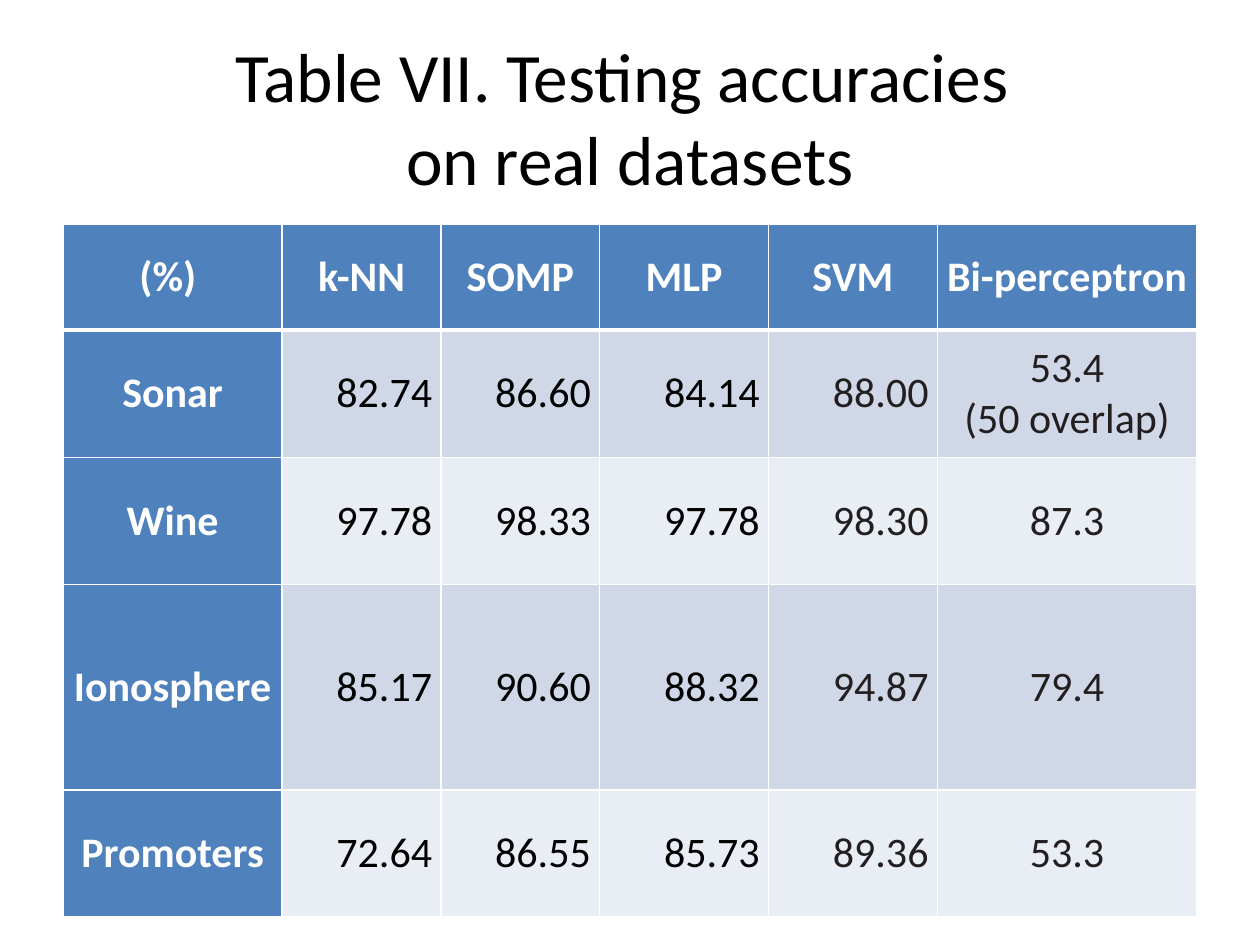
import dataclasses

import pptx
import pptx.dml.color
import pptx.enum.text
import pptx.oxml
import pptx.oxml.ns
import pptx.util

ALIGN = pptx.enum.text.PP_ALIGN
MIDDLE = pptx.enum.text.MSO_ANCHOR.MIDDLE


@dataclasses.dataclass(frozen=True)
class Theme:
    font: str = "Calibri"
    title_size: float = 39.6
    table_size: float = 24
    black: str = "000000"
    ink: str = "231F20"
    white: str = "FFFFFF"
    accent: str = "4F81BD"
    bands: tuple = ("D0D8E8", "E9EDF4")
    thin_line: float = 1
    header_line: float = 3


THEME = Theme()
SLIDE_WIDTH, SLIDE_HEIGHT = pptx.util.Inches(10), pptx.util.Inches(7.5)

TITLE = "Table VII. Testing accuracies \von real datasets"
ACCURACIES = [
    ["(%) ", "k-NN", "SOMP", "MLP", "SVM", "Bi-perceptron"],
    ["Sonar", "82.74", "86.60", "84.14", "88.00", "53.4\n(50 overlap)"],
    ["Wine", "97.78", "98.33", "97.78", "98.30", "87.3"],
    ["Ionosphere", "85.17", "90.60", "88.32", "94.87", "79.4"],
    ["Promoters", "72.64", "86.55", "85.73", "89.36", "53.3"],
]
COLUMN_WEIGHTS = [1.74, 1.26, 1.26, 1.34, 1.34, 2.06]
ROW_WEIGHTS = [0.84, 1.01, 1.01, 1.63, 1.01]


def share_box(left, top, width, height):
    """Turn shares of the slide's size into a box."""
    return (int(left * SLIDE_WIDTH), int(top * SLIDE_HEIGHT),
            int(width * SLIDE_WIDTH), int(height * SLIDE_HEIGHT))


def format_text(text_frame, size, color, align, bold=False):
    for paragraph in text_frame.paragraphs:
        paragraph.alignment = align
        for run in paragraph.runs:
            run.font.name = THEME.font
            run.font.size = pptx.util.Pt(size)
            run.font.bold = bold
            run.font.color.rgb = pptx.dml.color.RGBColor.from_string(color)


def add_title(slide, box):
    title = slide.shapes.title
    title.left, title.top, title.width, title.height = box
    text_frame = title.text_frame
    text_frame.text = TITLE
    text_frame.word_wrap = True
    text_frame.auto_size = pptx.enum.text.MSO_AUTO_SIZE.NONE
    text_frame.vertical_anchor = MIDDLE
    format_text(text_frame, THEME.title_size, THEME.black, ALIGN.CENTER)


def set_borders(cell, top, bottom):
    """Draw white cell borders; the XML order is left, right, top, bottom."""
    properties = cell._tc.get_or_add_tcPr()
    widths = {"L": THEME.thin_line, "R": THEME.thin_line, "T": top, "B": bottom}
    for side, width in widths.items():
        properties.append(pptx.oxml.parse_xml(
            f'<a:ln{side} {pptx.oxml.ns.nsdecls("a")} w="{pptx.util.Pt(width)}">'
            f'<a:solidFill><a:srgbClr val="{THEME.white}"/></a:solidFill>'
            f'</a:ln{side}>'))


def cell_style(row, column):
    """Return fill, text colour, alignment and weight for a table position."""
    if row == 0 or column == 0:
        return THEME.accent, THEME.white, ALIGN.CENTER, True
    last = column == len(COLUMN_WEIGHTS) - 1
    color = THEME.black if column < 4 else THEME.ink
    return THEME.bands[(row - 1) % 2], color, ALIGN.CENTER if last else ALIGN.RIGHT, False


def fill_cell(cell, row, column):
    fill, color, align, bold = cell_style(row, column)
    cell.margin_left = cell.margin_right = pptx.util.Inches(0.07)
    cell.margin_top = cell.margin_bottom = 0
    cell.vertical_anchor = MIDDLE
    set_borders(cell,
                top=THEME.header_line if row == 1 else THEME.thin_line,
                bottom=THEME.header_line if row == 0 else THEME.thin_line)
    cell.fill.solid()
    cell.fill.fore_color.rgb = pptx.dml.color.RGBColor.from_string(fill)
    cell.text_frame.text = ACCURACIES[row][column]
    format_text(cell.text_frame, THEME.table_size, color, align, bold)


def add_accuracy_table(slide, box):
    _, _, width, height = box
    table = slide.shapes.add_table(len(ROW_WEIGHTS), len(COLUMN_WEIGHTS), *box).table
    table.first_col = True
    # Share the box among columns and rows
    for column, weight in zip(table.columns, COLUMN_WEIGHTS):
        column.width = int(width * weight / sum(COLUMN_WEIGHTS))
    for row, weight in zip(table.rows, ROW_WEIGHTS):
        row.height = int(height * weight / sum(ROW_WEIGHTS))
    for row in range(len(ROW_WEIGHTS)):
        for column in range(len(COLUMN_WEIGHTS)):
            fill_cell(table.cell(row, column), row, column)


def main():
    presentation = pptx.Presentation()
    presentation.slide_width, presentation.slide_height = SLIDE_WIDTH, SLIDE_HEIGHT
    slide = presentation.slides.add_slide(presentation.slide_layouts.get_by_name("Title Only"))
    add_title(slide, share_box(0.05, 0.3 / 7.5, 0.9, 1.25 / 7.5))
    add_accuracy_table(slide, share_box(0.05, 1.78 / 7.5, 0.9, 5.5 / 7.5))
    presentation.save("out.pptx")


if __name__ == "__main__":
    main()
